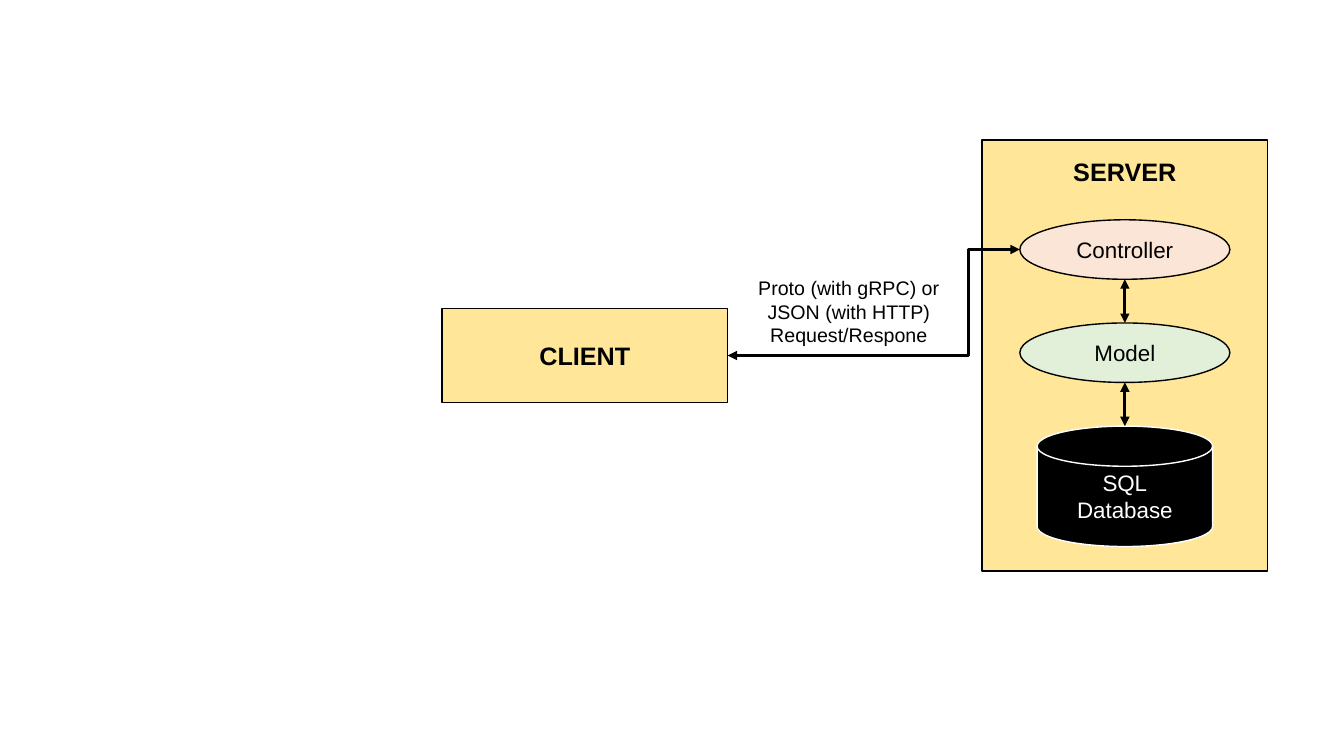
from dataclasses import dataclass

from lxml import etree
from pptx import Presentation
from pptx.dml import color
from pptx.enum import shapes, text
from pptx.oxml import ns
from pptx.util import Pt


@dataclass(frozen=True)
class Theme:
    font: str = "Arial"
    ink: str = "000000"
    paper: str = "FFFFFF"
    panel: str = "FFE699"
    controller: str = "FBE5D6"
    model: str = "E2F0D9"
    heading: int = 18
    body: int = 16
    note: int = 14
    outline: float = 1
    arrow: float = 2.25


@dataclass(frozen=True)
class Box:
    left: float
    top: float
    width: float
    height: float

    @property
    def right(self) -> float:
        return self.left + self.width

    @property
    def bottom(self) -> float:
        return self.top + self.height

    @property
    def cx(self) -> float:
        return self.left + self.width / 2

    @property
    def cy(self) -> float:
        return self.top + self.height / 2

    def lengths(self) -> list[Pt]:
        return [Pt(v) for v in (self.left, self.top, self.width, self.height)]


@dataclass(frozen=True)
class Node:
    kind: shapes.MSO_SHAPE
    box: Box
    fill: str
    lines: tuple[str, ...] = ()
    ink: str = Theme.ink
    line: str = Theme.ink


@dataclass(frozen=True)
class Label:
    box: Box
    words: str
    size: int
    bold: bool = False
    wrap: bool = False


@dataclass(frozen=True)
class Link:
    start: tuple[float, float]
    end: tuple[float, float]
    bend: float | None = None


THEME = Theme()


def rgb(value: str) -> color.RGBColor:
    return color.RGBColor.from_string(value)


def write(tf, lines: tuple[str, ...], size: int, ink: str, bold: bool = False) -> None:
    for i, words in enumerate(lines):
        p = tf.add_paragraph() if i else tf.paragraphs[0]
        p.alignment = text.PP_ALIGN.CENTER
        r = p.add_run()
        r.text = words
        r.font.name = THEME.font
        r.font.size = Pt(size)
        r.font.bold = bold
        r.font.color.rgb = rgb(ink)


def draw_node(s, node: Node) -> None:
    sp = s.shapes.add_shape(node.kind, *node.box.lengths())
    sp.shadow.inherit = False
    sp.fill.solid()
    sp.fill.fore_color.rgb = rgb(node.fill)
    sp.line.color.rgb = rgb(node.line)
    sp.line.width = Pt(THEME.outline)
    sp.text_frame.vertical_anchor = text.MSO_ANCHOR.MIDDLE
    write(sp.text_frame, node.lines, THEME.body, node.ink)


def draw_label(s, label: Label) -> None:
    tf = s.shapes.add_textbox(*label.box.lengths()).text_frame
    tf.word_wrap = label.wrap
    write(tf, (label.words,), label.size, THEME.ink, label.bold)


def draw_link(s, link: Link) -> None:
    kind = shapes.MSO_CONNECTOR.STRAIGHT if link.bend is None else shapes.MSO_CONNECTOR.ELBOW
    sp = s.shapes.add_connector(kind, *(Pt(v) for v in link.start + link.end))
    sp.line.color.rgb = rgb(THEME.ink)
    sp.line.width = Pt(THEME.arrow)
    props = sp._element.spPr
    for end in ("a:headEnd", "a:tailEnd"):
        etree.SubElement(props.find(ns.qn("a:ln")), ns.qn(end), type="triangle")
    etree.SubElement(props, ns.qn("a:effectLst"))
    if link.bend is not None:
        guides = props.find(ns.qn("a:prstGeom")).find(ns.qn("a:avLst"))
        etree.SubElement(guides, ns.qn("a:gd"), name="adj1", fmla=f"val {round(link.bend * 100000)}")


PANEL_WIDTH, OVAL_HEIGHT, STEP = 204, 42.5, 73.7
server = Box(701.5, 100, PANEL_WIDTH, 308)
client = Box(315.8, 220.3, PANEL_WIDTH, 67.4)


def in_server(row: int, width: float, height: float) -> Box:
    return Box(server.cx - width / 2, 157 + row * STEP, width, height)


controller = in_server(0, 150, OVAL_HEIGHT)
model = in_server(1, 150, OVAL_HEIGHT)
database = in_server(2, 125.4, 86)

NODES = [
    Node(shapes.MSO_SHAPE.RECTANGLE, server, THEME.panel),
    Node(shapes.MSO_SHAPE.RECTANGLE, client, THEME.panel),
    Node(shapes.MSO_SHAPE.OVAL, controller, THEME.controller, ("Controller",)),
    Node(shapes.MSO_SHAPE.OVAL, model, THEME.model, ("Model",)),
    Node(shapes.MSO_SHAPE.FLOWCHART_MAGNETIC_DISK, database, THEME.ink,
         ("SQL", "Database"), THEME.paper, THEME.paper),
]
LABELS = [
    Label(Box(server.cx - 44, 108, 88, 29), "SERVER", THEME.heading, bold=True),
    Label(Box(client.cx - 44, client.cy - 14.2, 88, 29), "CLIENT", THEME.heading, bold=True),
    Label(Box(517, 193.7, 178.6, 58), "Proto (with gRPC) or JSON (with HTTP) Request/Respone",
          THEME.note, wrap=True),
]
LINKS = [
    *(Link((a.cx, a.bottom), (b.cx, b.top))
      for a, b in ((controller, model), (model, database))),
    Link((client.right, client.cy), (controller.left, controller.cy), bend=0.825),
]


def main() -> None:
    prs = Presentation()
    prs.slide_width, prs.slide_height = Pt(960), Pt(540)
    s = prs.slides.add_slide(prs.slide_layouts.get_by_name("Blank"))
    for node in NODES:
        draw_node(s, node)
    for label in LABELS:
        draw_label(s, label)
    for link in LINKS:
        draw_link(s, link)
    prs.save("out.pptx")


main()
